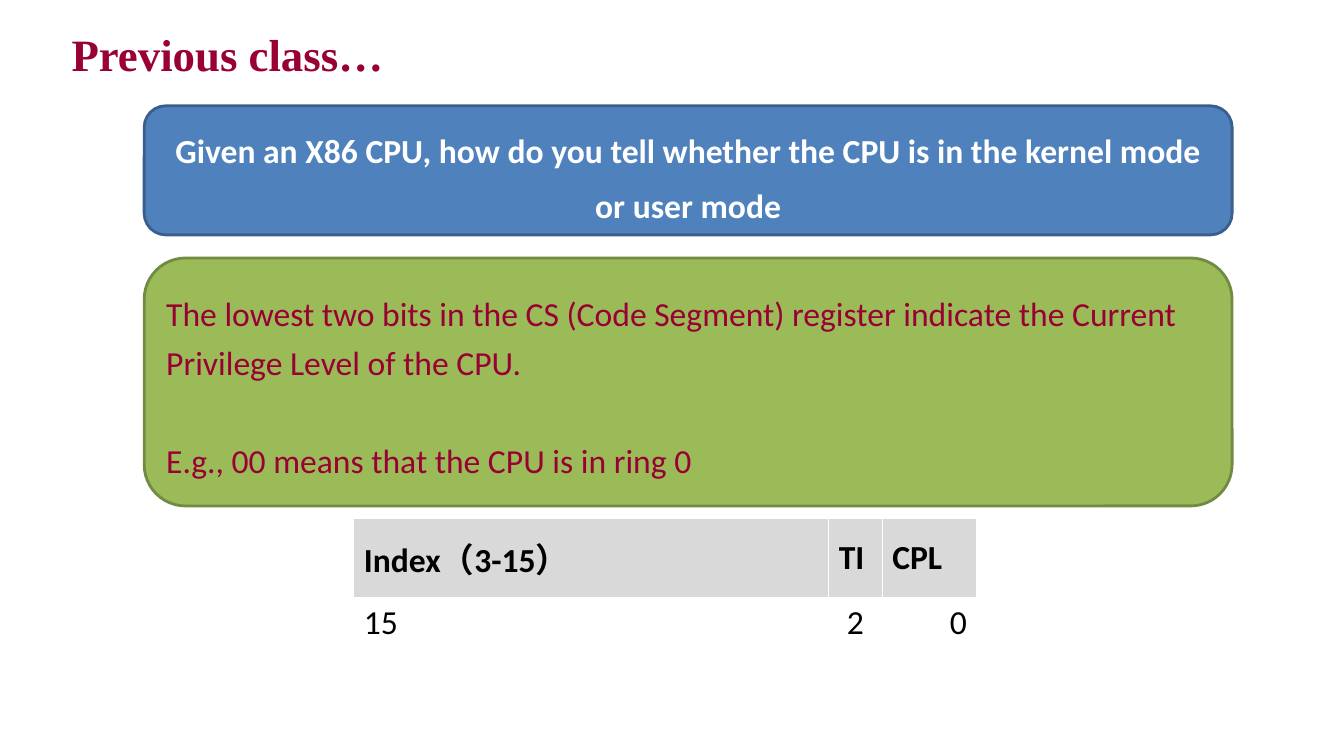
"""Builds the slide that recalls how an X86 CPU shows its privilege level."""
from dataclasses import dataclass

from pptx import Presentation
from pptx.dml.color import RGBColor
from pptx.enum.shapes import MSO_SHAPE
from pptx.enum.text import MSO_ANCHOR, MSO_AUTO_SIZE, PP_ALIGN
from pptx.util import Inches, Pt


@dataclass(frozen=True)
class Theme:
    heading_font: str = "Times New Roman"
    body_font: str = "Calibri"
    heading_size: int = 32
    body_size: int = 24
    crimson: str = "990033"
    white: str = "FFFFFF"
    black: str = "000000"
    blue: str = "4F81BD"
    blue_edge: str = "3A5F8C"
    green: str = "9BBB59"
    green_edge: str = "738A42"
    grey: str = "D9D9D9"


THEME = Theme()


def write(paragraph, text, color, bold=False, align=PP_ALIGN.LEFT,
          font=THEME.body_font, size=THEME.body_size):
    paragraph.text = text
    paragraph.alignment = align
    for name, value in {"name": font, "size": Pt(size), "bold": bold}.items():
        setattr(paragraph.font, name, value)
    paragraph.font.color.rgb = RGBColor.from_string(color)


prs = Presentation()
prs.slide_width, prs.slide_height = Inches(13.33), Inches(7.5)
slide = prs.slides.add_slide(prs.slide_layouts[5])

heading = slide.shapes.title
heading.left, heading.top = Inches(0.61), Inches(0.27)
heading.width, heading.height = Inches(12.17), Inches(0.52)
heading.text_frame.auto_size = MSO_AUTO_SIZE.NONE
heading.text_frame.vertical_anchor = MSO_ANCHOR.MIDDLE
write(heading.text_frame.paragraphs[0], "Previous class…", THEME.crimson, True,
      font=THEME.heading_font, size=THEME.heading_size)

question = ["Given an X86 CPU, how do you tell whether the CPU is in the kernel mode or user mode"]
answer = [
    "The lowest two bits in the CS (Code Segment) register indicate the Current "
    "Privilege Level of the CPU.",
    "E.g., 00 means that the CPU is in ring 0",
]
panels = [
    (1.05, 1.28, THEME.blue, THEME.blue_edge, question, 39,
     {"color": THEME.white, "bold": True, "align": PP_ALIGN.CENTER}),
    (2.56, 2.46, THEME.green, THEME.green_edge, answer, 35, {"color": THEME.crimson}),
]
for top, height, fill, edge, lines, spacing, style in panels:
    panel = slide.shapes.add_shape(MSO_SHAPE.ROUNDED_RECTANGLE, Inches(1.43), Inches(top),
                                   Inches(10.79), Inches(height))
    panel.shadow.inherit = False
    panel.fill.solid()
    panel.fill.fore_color.rgb = RGBColor.from_string(fill)
    panel.line.color.rgb = RGBColor.from_string(edge)
    panel.line.width = Pt(2)
    frame = panel.text_frame
    frame.word_wrap = True
    frame.vertical_anchor = MSO_ANCHOR.MIDDLE
    for i, line in enumerate(lines):
        paragraph = frame.add_paragraph() if i else frame.paragraphs[0]
        write(paragraph, line, **style)
        paragraph.line_spacing = Pt(spacing)
        if i:
            paragraph.space_before = Pt(spacing)

register = slide.shapes.add_table(2, 3, Inches(3.51), Inches(5.14),
                                  Inches(6.18), Inches(1.29)).table
for column, width in zip(register.columns, (4.71, 0.53, 0.94)):
    column.width = Inches(width)
for row, height in zip(register.rows, (0.79, 0.5)):
    row.height = Inches(height)

fields = [
    ("Index（3-15）", "15", PP_ALIGN.LEFT),
    ("TI", "2", PP_ALIGN.CENTER),
    ("CPL", "0", PP_ALIGN.RIGHT),
]
for col, (field, bit, bit_align) in enumerate(fields):
    label, position = register.cell(0, col), register.cell(1, col)
    label.fill.solid()
    label.fill.fore_color.rgb = RGBColor.from_string(THEME.grey)
    label.vertical_anchor = MSO_ANCHOR.MIDDLE
    write(label.text_frame.paragraphs[0], field, THEME.black, True)
    position.fill.background()
    write(position.text_frame.paragraphs[0], bit, THEME.black, align=bit_align)

prs.save("out.pptx")
